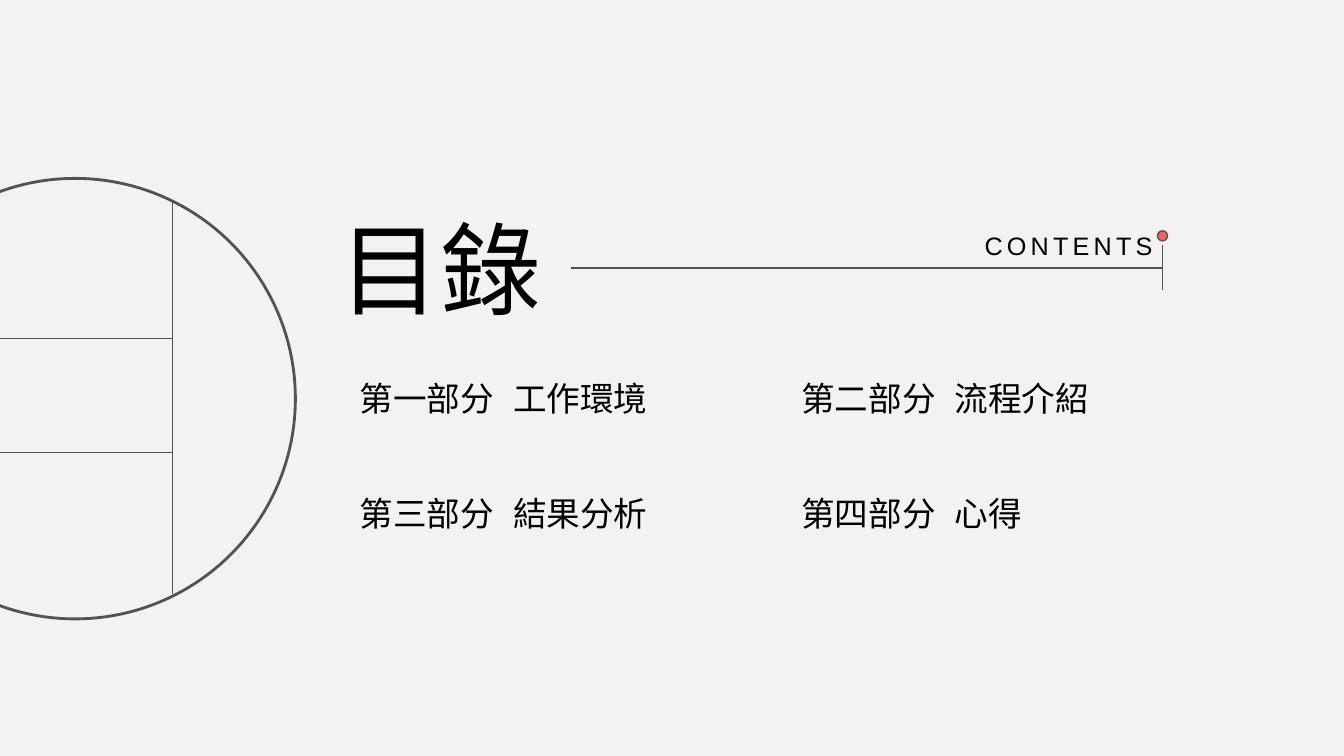
from lxml import etree
from pptx import Presentation
from pptx.dml.color import RGBColor
from pptx.enum.shapes import MSO_CONNECTOR, MSO_SHAPE
from pptx.enum.text import MSO_AUTO_SIZE, PP_ALIGN
from pptx.oxml.ns import qn
from pptx.util import Inches, Pt

STRAIGHT = MSO_CONNECTOR.STRAIGHT
OVAL = MSO_SHAPE.OVAL
LEFT, RIGHT = PP_ALIGN.LEFT, PP_ALIGN.RIGHT
FIT_TEXT = MSO_AUTO_SIZE.SHAPE_TO_FIT_TEXT
FONT = "Arial"
INK, GREY, PAPER, CORAL = "000000", "525252", "F2F2F2", "F36460"
SECTIONS = [
    ("第一部分", "工作環境"),
    ("第二部分", "流程介紹"),
    ("第三部分", "結果分析"),
    ("第四部分", "心得"),
]


def color(hex_value):
    return RGBColor.from_string(hex_value)


def add_text(slide, text, left, top, width, height, size, align=LEFT, spacing=None, tab=None):
    box = slide.shapes.add_textbox(Inches(left), Inches(top), Inches(width), Inches(height))
    frame = box.text_frame
    frame.word_wrap = True
    frame.auto_size = FIT_TEXT
    paragraph = frame.paragraphs[0]
    paragraph.alignment = align
    run = paragraph.add_run()
    run.text = text
    run.font.size = Pt(size)
    run.font.name = FONT
    run.font.color.rgb = color(INK)
    properties = run.font._element
    etree.SubElement(properties, qn("a:ea")).set("typeface", FONT)
    if spacing:
        properties.set("spc", str(spacing * 100))
    if tab:
        tab_list = etree.SubElement(paragraph._p.get_or_add_pPr(), qn("a:tabLst"))
        stop = etree.SubElement(tab_list, qn("a:tab"))
        stop.set("pos", str(Inches(tab)))
        stop.set("algn", "l")


def add_line(slide, x1, y1, x2, y2):
    rule = slide.shapes.add_connector(STRAIGHT, Inches(x1), Inches(y1), Inches(x2), Inches(y2))
    rule.line.color.rgb = color(GREY)
    rule.line.width = Pt(1)
    etree.SubElement(rule._element.spPr, qn("a:effectLst"))


def add_circle(slide, left, top, diameter, line_width, fill=None):
    circle = slide.shapes.add_shape(
        OVAL, Inches(left), Inches(top), Inches(diameter), Inches(diameter))
    circle.shadow.inherit = False
    if fill:
        circle.fill.solid()
        circle.fill.fore_color.rgb = color(fill)
    else:
        circle.fill.background()
    circle.line.color.rgb = color(GREY)
    circle.line.width = Pt(line_width)


def add_heading(slide):
    add_text(slide, "目錄", 2.53, 2, 2.94, 1.31, size=72, align=RIGHT)
    add_line(slide, 5.66, 2.66, 11.53, 2.66)
    add_text(slide, "CONTENTS", 9.04, 2.24, 2.49, 0.42, size=18, align=RIGHT, spacing=3)


def add_sections(slide):
    for index, (part, topic) in enumerate(SECTIONS):
        row, column = divmod(index, 2)
        add_text(slide, f"{part}\t{topic}", 3.47 + 4.38 * column, 3.7 + 1.14 * row,
                 3.84, 0.5, size=24, tab=1.52)


def add_window(slide):
    add_circle(slide, -1.44, 1.77, 4.37, line_width=2)
    for bar_y in (4.49, 3.36):
        add_line(slide, -1.44, bar_y, 1.71, bar_y)
    add_line(slide, 1.71, 2, 1.71, 5.89)


def add_pin(slide):
    add_line(slide, 11.53, 2.43, 11.53, 2.88)
    add_circle(slide, 11.48, 2.29, 0.1, line_width=1, fill=CORAL)


def main():
    deck = Presentation()
    deck.slide_width, deck.slide_height = Inches(13.33), Inches(7.5)
    slide = deck.slides.add_slide(deck.slide_layouts[6])
    slide.background.fill.solid()
    slide.background.fill.fore_color.rgb = color(PAPER)
    add_heading(slide)
    add_sections(slide)
    add_window(slide)
    add_pin(slide)
    deck.save("out.pptx")


if __name__ == "__main__":
    main()
